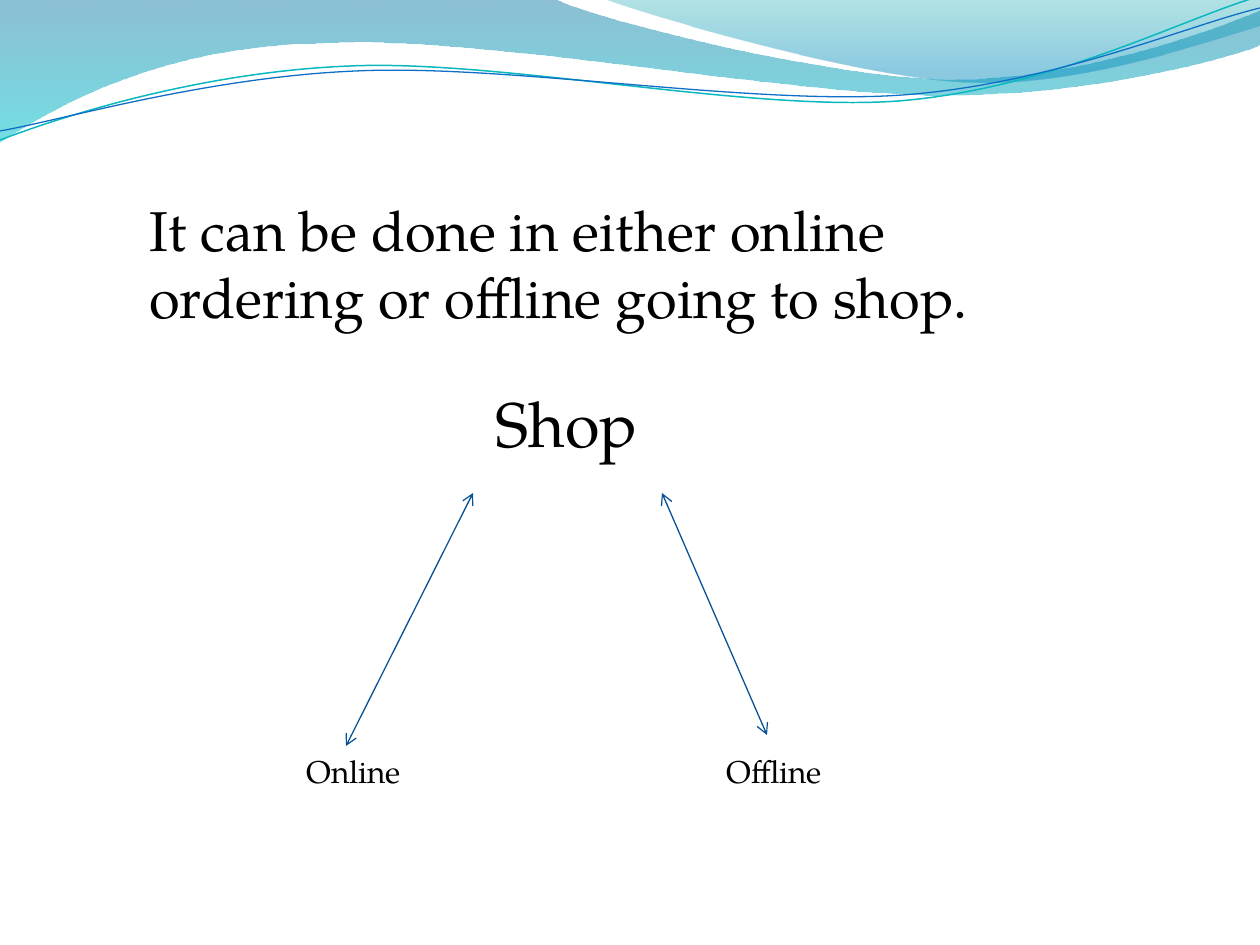
from dataclasses import dataclass

from lxml import etree
from pptx import Presentation
from pptx.dml.color import RGBColor
from pptx.enum.shapes import MSO_CONNECTOR
from pptx.oxml.ns import qn
from pptx.util import Emu, Inches, Pt

PX = 914400 / 126
FONT = "TeX Gyre Pagella"
COLORS = {
    "text": "000000", "arrow": "095295",
    "wave_blue": "0074A1", "wave_aqua": "00C6CF",
    "crest_teal": "00A1A9", "crest_blue": "008BBF",
    "line_teal": "0AB8BF", "line_blue": "0F6FC6",
}
Point = tuple[int, int]


@dataclass
class Stop:
    position: float
    color: str
    opacity: int


@dataclass
class Curve:
    """A start point, then steps of one point (line) or three (Bezier)."""
    start: Point
    steps: list[tuple[Point, ...]]
    stops: tuple[Stop, ...] = ()
    line: str = ""
    width: float = 0


@dataclass
class Label:
    text: str
    left: int
    top: int
    width: int
    height: int
    size: int
    indent: int = 0


@dataclass
class Arrow:
    start: Point
    end: Point


CURVES = [
    Curve((0, 0), [((554, -1),),
                   ((600, 21), (837, 79), (955, 79)),
                   ((1075, 79), (1207, 33), (1260, 11)),
                   ((1261, 45),),
                   ((1239, 55), (1096, 96), (940, 95)),
                   ((784, 95), (481, 35), (324, 43)),
                   ((163, 45), (58, 105), (-1, 142)),
                   ((0, 0),)],
          stops=(Stop(0, "wave_blue", 45), Stop(1, "wave_aqua", 55))),
    Curve((604, -1), [((641, 14), (859, 78), (969, 82)),
                      ((1079, 87), (1211, 40), (1260, 26)),
                      ((1260, 0),),
                      ((604, -1),)],
          stops=(Stop(0, "crest_teal", 30), Stop(0.8, "crest_blue", 45))),
    Curve((0, 140), [((60, 117), (199, 72), (349, 66)),
                     ((498, 59), (747, 112), (898, 101)),
                     ((1050, 89), (1182, 19), (1257, -3))],
          line="line_teal", width=0.85),
    Curve((0, 131), [((59, 121), (207, 77), (357, 71)),
                     ((508, 64), (752, 106), (903, 95)),
                     ((1053, 84), (1186, 26), (1260, 8))],
          line="line_blue", width=0.75),
]
LABELS = [
    Label("It can be done in either online ordering or offline going to shop.",
          137, 189, 935, 186, 32),
    Label("Shop", 357, 378, 557, 89, 36, indent=126),
    Label("Online", 168, 746, 325, 50, 18, indent=126),
    Label("Offline", 588, 746, 357, 50, 18, indent=126),
]
ARROWS = [Arrow((473, 493), (346, 746)), Arrow((662, 493), (767, 735))]


def px(value: float) -> Emu:
    return Emu(round(value * PX))


def rgb(name: str) -> RGBColor:
    return RGBColor.from_string(COLORS[name])


def bend(shape, steps: list[tuple[Point, ...]]) -> None:
    """Join the line segments of each three-point step into one Bezier."""
    segments = iter(list(shape._element.iter(qn("a:lnTo"))))
    for step in steps:
        first, *others = [next(segments) for _ in step]
        if others:
            first.tag = qn("a:cubicBezTo")
            for other in others:
                first.append(other[0])
                other.getparent().remove(other)


def draw_curve(slide, curve: Curve) -> None:
    builder = slide.shapes.build_freeform(px(curve.start[0]), px(curve.start[1]))
    points = [(px(x), px(y)) for step in curve.steps for x, y in step]
    builder.add_line_segments(points, close=bool(curve.stops))
    shape = builder.convert_to_shape()
    bend(shape, curve.steps)
    shape.shadow.inherit = False
    if not curve.stops:
        shape.fill.background()
        shape.line.color.rgb = rgb(curve.line)
        shape.line.width = Pt(curve.width)
        return
    shape.line.fill.background()
    shape.fill.gradient()
    shape.fill.gradient_angle = 270
    for target, stop in zip(shape.fill.gradient_stops, curve.stops):
        target.position = stop.position
        target.color.rgb = rgb(stop.color)
    colors = list(shape._element.spPr.iter(qn("a:srgbClr")))
    for color, stop in zip(colors, curve.stops):
        etree.SubElement(color, qn("a:alpha"), val=str(stop.opacity * 1000))


def draw_label(slide, label: Label) -> None:
    box = slide.shapes.add_textbox(px(label.left), px(label.top),
                                   px(label.width), px(label.height))
    box.text_frame.word_wrap = True
    paragraph = box.text_frame.paragraphs[0]
    if label.indent:
        paragraph._p.get_or_add_pPr().set("marL", str(px(label.indent)))
    run = paragraph.add_run()
    run.text = label.text
    run.font.name = FONT
    run.font.size = Pt(label.size)
    run.font.color.rgb = rgb("text")


def draw_arrow(slide, arrow: Arrow) -> None:
    line = slide.shapes.add_connector(
        MSO_CONNECTOR.STRAIGHT, *map(px, arrow.start + arrow.end))
    line.line.color.rgb = rgb("arrow")
    line.line.width = Pt(0.75)
    outline = line.line._get_or_add_ln()
    for end in ("a:headEnd", "a:tailEnd"):
        etree.SubElement(outline, qn(end), type="arrow")
    etree.SubElement(line._element.spPr, qn("a:effectLst"))


prs = Presentation()
prs.slide_width, prs.slide_height = Inches(10), Inches(7.5)
slide = prs.slides.add_slide(prs.slide_layouts[6])

# Wave decoration along the top
for curve in CURVES:
    draw_curve(slide, curve)

# Sentence and the shop diagram
for label in LABELS:
    draw_label(slide, label)
for arrow in ARROWS:
    draw_arrow(slide, arrow)

prs.save("out.pptx")
